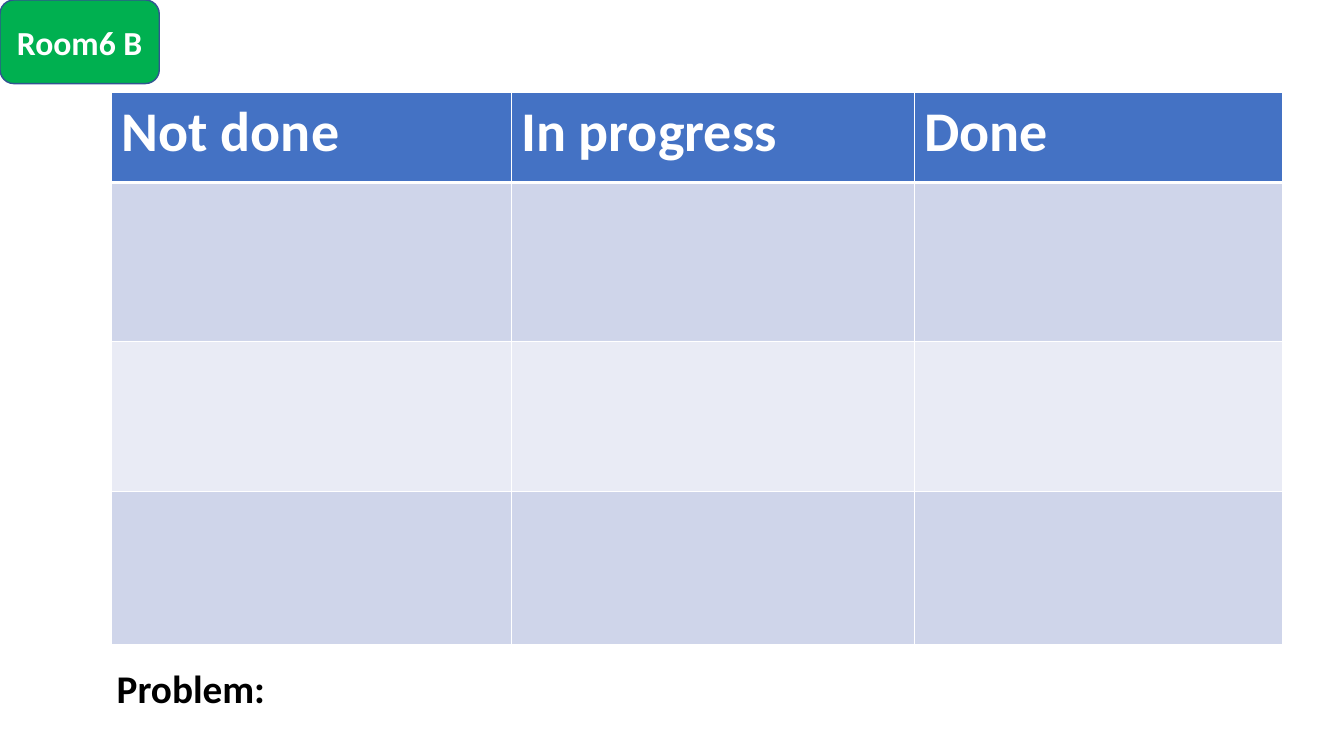
"""Build a task board slide with a room label and a problem line."""
from lxml import etree
from pptx import Presentation, util as u
from pptx.dml.color import RGBColor
from pptx.enum import shapes, text
from pptx.oxml.ns import qn

WHITE, BLACK, BLUE, GREEN, NAVY = "FFFFFF", "000000", "4472C4", "00B050", "325491"
BANDS = ["CFD5EA", "E9EBF5"]
HEADINGS = ["Not done", "In progress", "Done"]
COLUMN_WIDTHS = [3.96, 4, 3.65]
ROW_HEIGHTS = [0.89, 1.58, 1.49, 1.52]


def colour(value):
    """Turn a hex string into a colour."""
    return RGBColor.from_string(value)


def paint(target, value):
    """Give a shape or cell a solid fill."""
    target.fill.solid()
    target.fill.fore_color.rgb = colour(value)


def write(frame, words, size, ink, **layout):
    """Put one bold paragraph in a text frame, with paragraph formats."""
    para = frame.paragraphs[0]
    for name, value in layout.items():
        setattr(para, name, value)
    span = para.add_run()
    span.text = words
    formats = {"name": "Calibri", "size": u.Pt(size), "bold": True}
    for name, value in formats.items():
        setattr(span.font, name, value)
    span.font.color.rgb = colour(ink)


def set_borders(cell, bottom):
    """Draw white cell borders, 1 point wide except for the bottom one."""
    props = cell._tc.get_or_add_tcPr()
    widths = {"a:lnL": 1, "a:lnR": 1, "a:lnT": 1, "a:lnB": bottom}
    for place, (tag, width) in enumerate(widths.items()):
        line = etree.Element(qn(tag), w=str(u.Pt(width)))
        fill = etree.SubElement(line, qn("a:solidFill"))
        etree.SubElement(fill, qn("a:srgbClr"), val=WHITE)
        props.insert(place, line)


def add_problem(page, box):
    """Place the problem line, centred vertically in its box."""
    frame = page.shapes.add_textbox(*map(u.Inches, box)).text_frame
    frame.word_wrap = True
    frame.vertical_anchor = text.MSO_ANCHOR.MIDDLE
    write(frame, "Problem:", 28, BLACK, line_spacing=0.9)


def add_board(page, left, top):
    """Place the task board: a heading row above banded empty rows."""
    box = (left, top, sum(COLUMN_WIDTHS), sum(ROW_HEIGHTS))
    board = page.shapes.add_table(
        len(ROW_HEIGHTS), len(COLUMN_WIDTHS), *map(u.Inches, box)).table
    for column, width in zip(board.columns, COLUMN_WIDTHS):
        column.width = u.Inches(width)
    for index, (row, height) in enumerate(zip(board.rows, ROW_HEIGHTS)):
        row.height = u.Inches(height)
        for cell, heading in zip(row.cells, HEADINGS):
            paint(cell, BANDS[(index - 1) % 2] if index else BLUE)
            set_borders(cell, 1 if index else 3)
            if index == 0:
                write(cell.text_frame, heading, 40, WHITE)
            elif index == 1:
                # Keep the thick rule shared with the heading row.
                cell._tc.tcPr.find(qn("a:lnT")).set("w", str(u.Pt(3)))


def add_room(page, box):
    """Place the rounded room label."""
    label = page.shapes.add_shape(
        shapes.MSO_SHAPE.ROUNDED_RECTANGLE, *map(u.Inches, box))
    label.shadow.inherit = False
    paint(label, GREEN)
    label.line.color.rgb = colour(NAVY)
    label.line.width = u.Pt(1)
    label.text_frame.word_wrap = True
    label.text_frame.vertical_anchor = text.MSO_ANCHOR.MIDDLE
    write(label.text_frame, "Room6 B", 24, WHITE, alignment=text.PP_ALIGN.CENTER)


deck = Presentation()
deck.slide_width, deck.slide_height = u.Inches(13.33), u.Inches(7.5)
page = deck.slides.add_slide(deck.slide_layouts[6])
add_problem(page, (1.06, 6.29, 11.36, 1.12))
add_board(page, 1.11, 0.92)
add_room(page, (0, 0, 1.58, 0.83))
deck.save("out.pptx")
